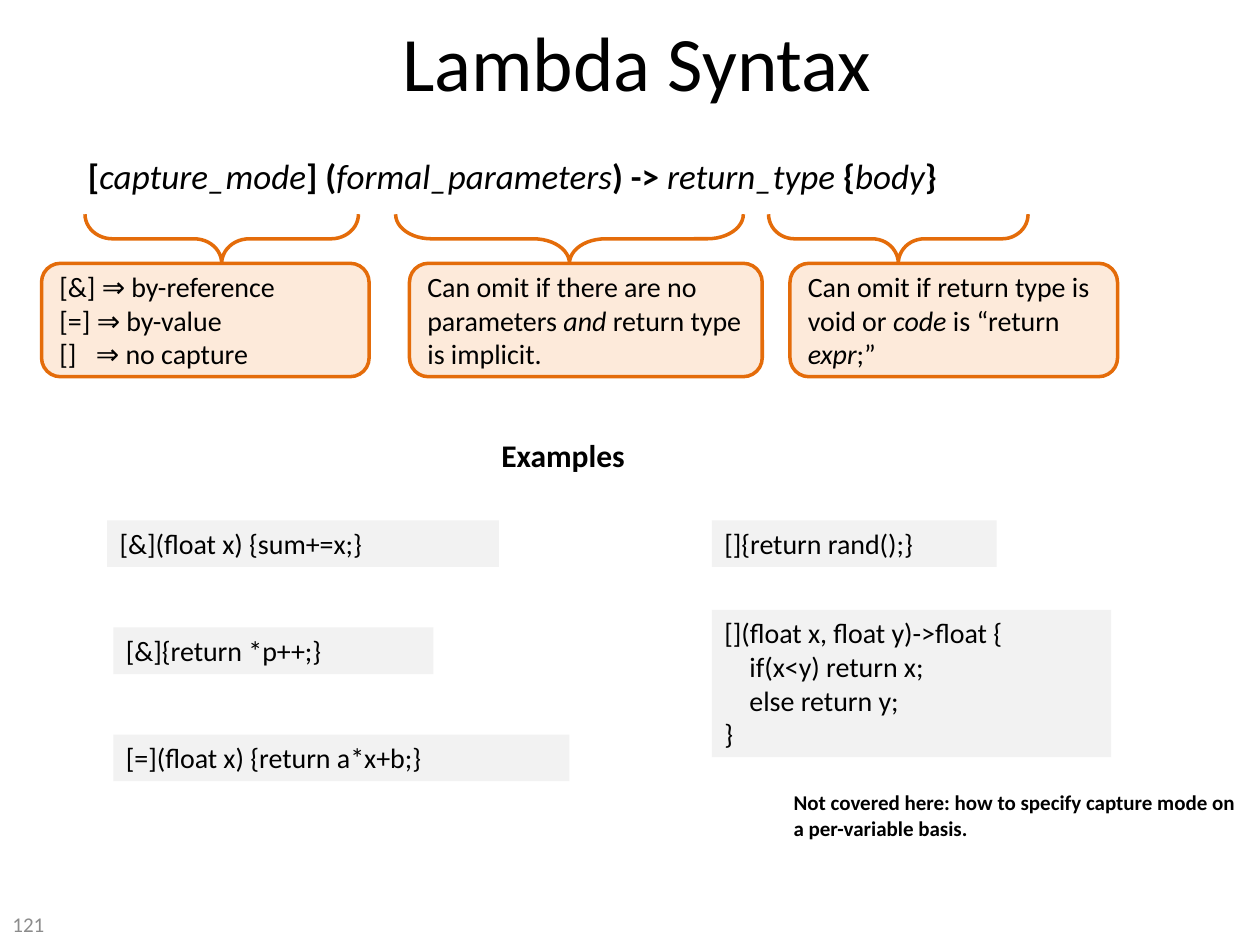
from pptx import Presentation
from pptx.dml.color import RGBColor
from pptx.enum.shapes import MSO_SHAPE as Shape
from pptx.enum.text import MSO_ANCHOR as Anchor, PP_ALIGN as Align
from pptx.oxml import parse_xml
from pptx.oxml.ns import nsdecls
from pptx.util import Inches, Pt

BLACK = RGBColor(0x00, 0x00, 0x00)
GRAY = RGBColor(0x8C, 0x8C, 0x8C)
ORANGE = RGBColor(0xE4, 0x6C, 0x0A)
PEACH = RGBColor(0xFD, 0xEA, 0xDA)
PALE = RGBColor(0xF2, 0xF2, 0xF2)
CALLOUT_TOP, CALLOUT_HEIGHT = 2.09, 0.9
BRACE_DEPTH = 0.39


class SlideBuilder:
    font = "Calibri"

    def __init__(self, page):
        self.page = page

    def fill_text(self, box, lines, size, color=BLACK, align=Align.LEFT,
                  anchor=Anchor.TOP, tab=None):
        frame = box.text_frame
        frame.word_wrap = True
        frame.vertical_anchor = anchor
        for index, spans in enumerate(lines):
            para = frame.paragraphs[0] if index == 0 else frame.add_paragraph()
            para.alignment = align
            if tab:
                para._p.get_or_add_pPr().append(parse_xml(
                    f'<a:tabLst {nsdecls("a")}><a:tab pos="{Inches(tab)}" algn="l"/></a:tabLst>'))
            for text, style in spans:
                span = para.add_run()
                span.text = text
                span.font.name = self.font
                span.font.size = Pt(size)
                span.font.color.rgb = color
                span.font.bold = style == "bold"
                span.font.italic = style == "italic"

    def text(self, left, top, width, height, lines, size, **options):
        box = self.page.shapes.add_textbox(
            Inches(left), Inches(top), Inches(width), Inches(height))
        self.fill_text(box, lines, size, **options)

    def shape(self, kind, left, top, width, height, fill=None, line=None):
        box = self.page.shapes.add_shape(
            kind, Inches(left), Inches(top), Inches(width), Inches(height))
        box.shadow.inherit = False
        if fill is None:
            box.fill.background()
        else:
            box.fill.solid()
            box.fill.fore_color.rgb = fill
        if line is None:
            box.line.fill.background()
        else:
            box.line.color.rgb = line
            box.line.width = Pt(2)
        return box

    def brace(self, center, span, curve):
        middle = CALLOUT_TOP - BRACE_DEPTH / 2
        brace = self.shape(Shape.LEFT_BRACE, center - BRACE_DEPTH / 2,
                           middle - span / 2, BRACE_DEPTH, span, line=ORANGE)
        brace.rotation = 270
        brace.adjustments[0] = curve

    def callout(self, left, width, lines, tab=None):
        box = self.shape(Shape.ROUNDED_RECTANGLE, left, CALLOUT_TOP, width,
                         CALLOUT_HEIGHT, PEACH, ORANGE)
        self.fill_text(box, lines, 16, anchor=Anchor.MIDDLE, tab=tab)

    def code(self, left, top, width, height, *lines):
        box = self.shape(Shape.RECTANGLE, left, top, width, height, PALE)
        self.fill_text(box, [[(line, "")] for line in lines], 16)


def main():
    deck = Presentation()
    deck.slide_width, deck.slide_height = Inches(10), Inches(7.5)
    builder = SlideBuilder(deck.slides.add_slide(deck.slide_layouts[6]))

    builder.text(0, 7.17, 0.45, 0.33, [[("121", "")]], 12, color=GRAY,
                 align=Align.RIGHT, anchor=Anchor.MIDDLE)
    builder.text(0.55, 0, 9.01, 0.97, [[("Lambda Syntax", "")]], 44,
                 align=Align.CENTER, anchor=Anchor.MIDDLE)
    builder.text(0.6, 1.18, 8.83, 0.75, [[
        ("[", "bold"), ("capture_mode", "italic"), ("] (", "bold"),
        ("formal_parameters", "italic"), (") -> ", "bold"),
        ("return_type ", "italic"), ("{", "bold"), ("body", "italic"),
        ("}", "bold")]], 20)

    for center, span, curve in ((1.76, 2.17, 0.56), (4.52, 2.76, 0.73), (7.13, 2.06, 0.53)):
        builder.brace(center, span, curve)

    builder.callout(0.33, 2.6, [[("[&] ⇒ by-reference", "")],
                                [("[=] ⇒ by-value", "")],
                                [("[]\t⇒ no capture", "")]], tab=0.29)
    builder.callout(3.25, 2.8, [[
        ("Can omit if there are no parameters ", ""), ("and", "italic"),
        (" return type is implicit.", "")]])
    builder.callout(6.27, 2.6, [[
        ("Can omit if return type is void or ", ""), ("code ", "italic"),
        ("is “return ", ""), ("expr", "italic"), (";”", "")]])

    builder.text(3.88, 3.41, 1.92, 0.4, [[("Examples", "bold")]], 18)
    captures = ((0.85, 3.11, "[&](float x) {sum+=x;}"),
                (0.9, 2.54, "[&]{return *p++;}"),
                (0.9, 3.62, "[=](float x) {return a*x+b;}"))
    for row, (left, width, line) in enumerate(captures):
        builder.code(left, 4.13 + 0.85 * row, width, 0.37, line)
    builder.code(5.65, 4.13, 2.26, 0.37, "[]{return rand();}")
    builder.code(5.65, 4.84, 3.17, 1.17, "[](float x, float y)->float {",
                 "    if(x<y) return x;", "    else return y;", "}")
    builder.text(6.2, 6.22, 3.8, 0.5, [[
        ("Not covered here: how to specify capture mode on a per-variable basis.",
         "bold")]], 12)

    deck.save("out.pptx")


if __name__ == "__main__":
    main()
